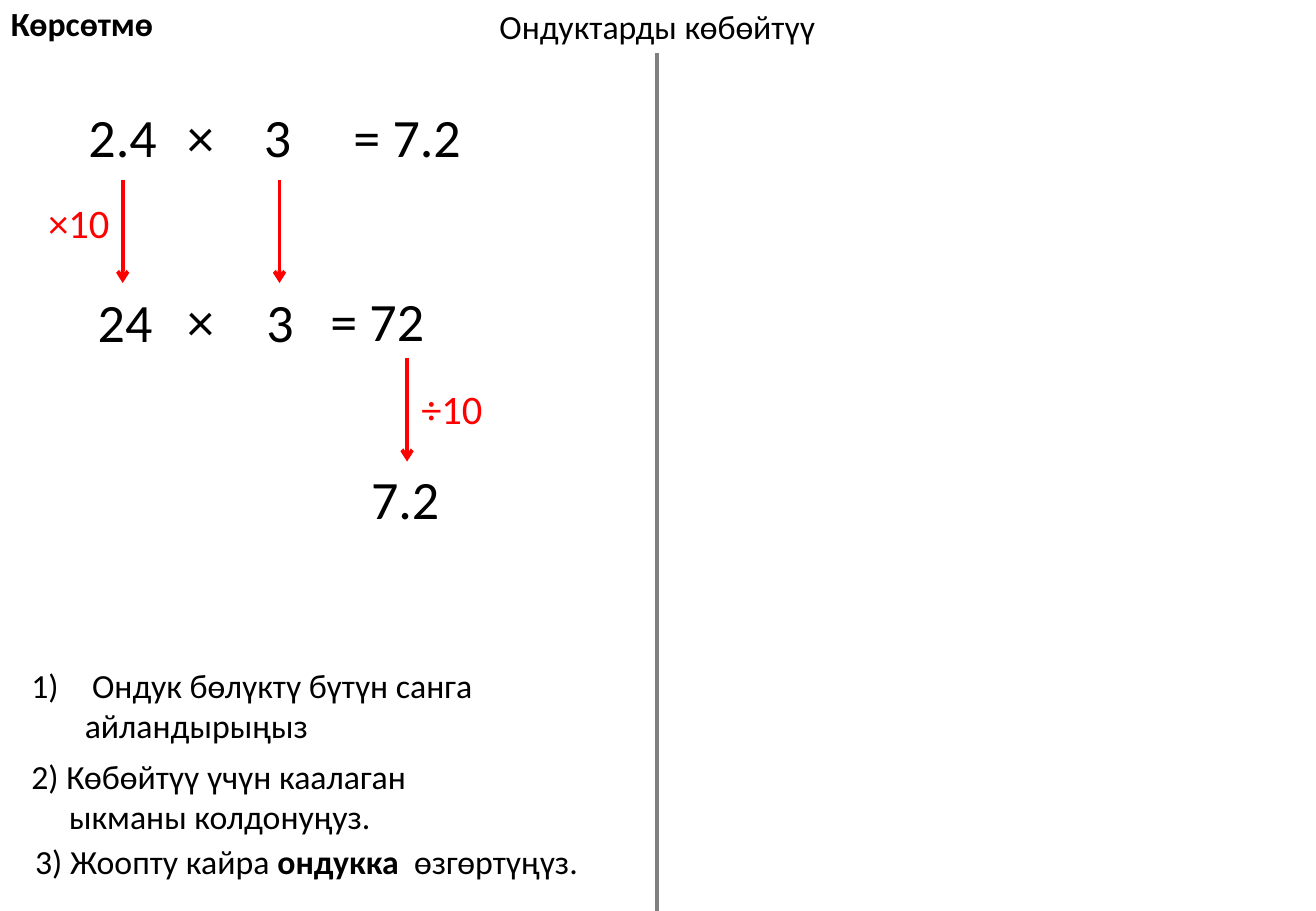
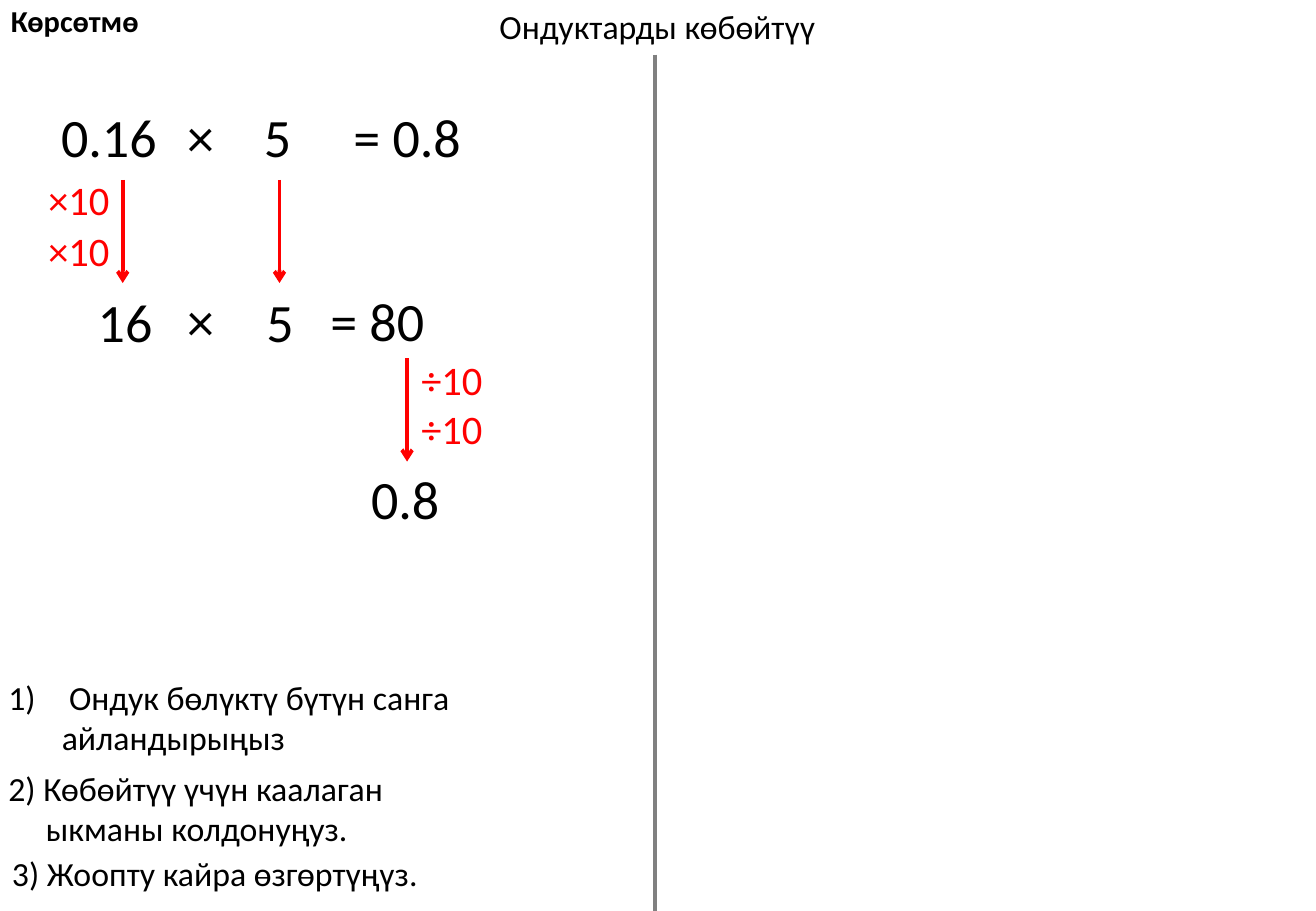
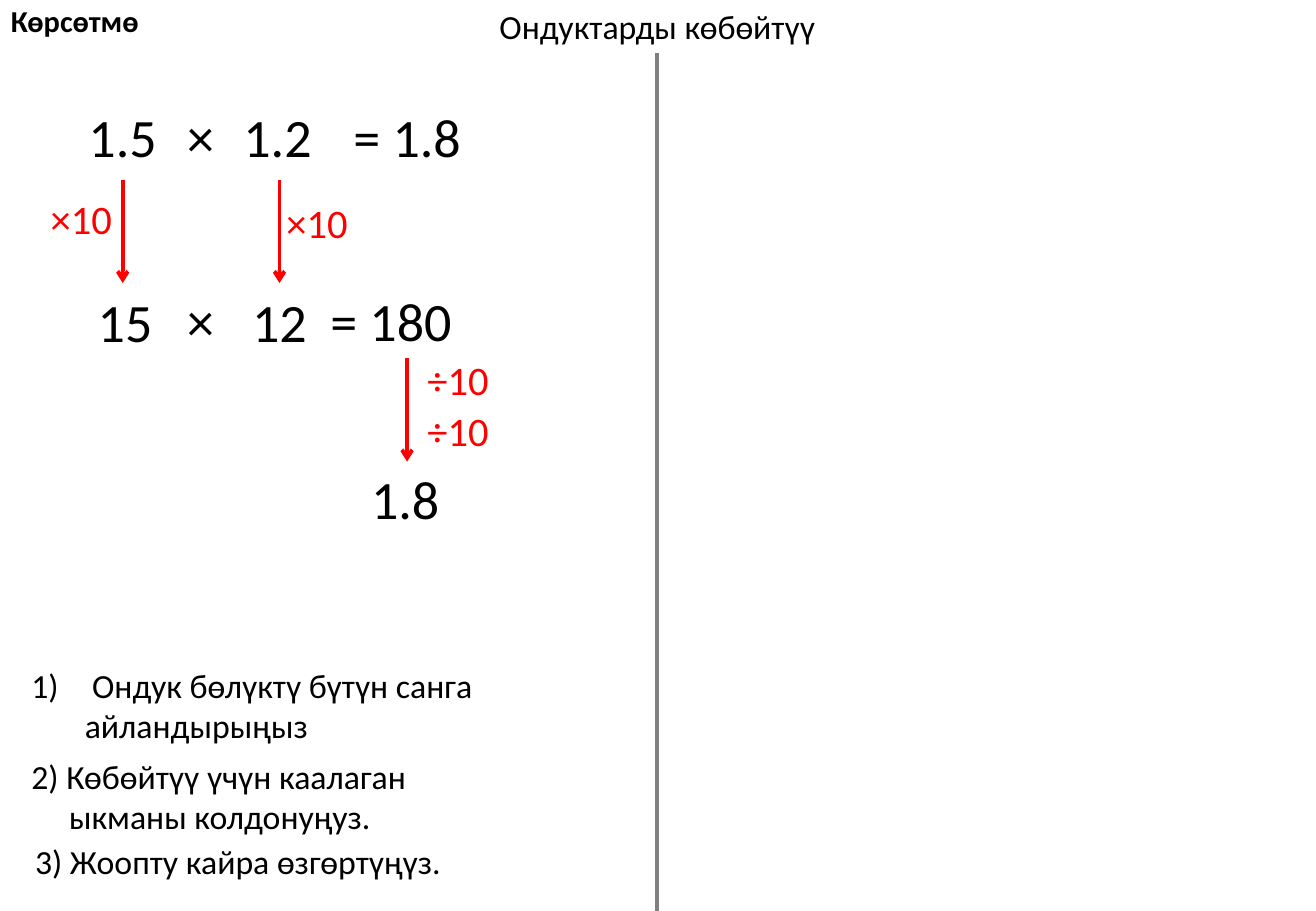
from dataclasses import dataclass

from lxml import etree
from pptx import Presentation
from pptx.dml.color import RGBColor
from pptx.enum.shapes import MSO_CONNECTOR
from pptx.enum.text import MSO_AUTO_SIZE, PP_ALIGN
from pptx.oxml.ns import qn
from pptx.util import Emu, Pt

STRAIGHT = MSO_CONNECTOR.STRAIGHT
FIT_SHAPE = MSO_AUTO_SIZE.SHAPE_TO_FIT_TEXT
LEFT, CENTER, RIGHT = PP_ALIGN.LEFT, PP_ALIGN.CENTER, PP_ALIGN.RIGHT

BLACK = RGBColor(0x00, 0x00, 0x00)
RED = RGBColor(0xFF, 0x00, 0x00)
GRAY = RGBColor(0x80, 0x80, 0x80)
FONT = "Calibri"
BODY_SIZE, LABEL_SIZE, NUMBER_SIZE = 20, 24, 32

PX_PER_INCH = 100
SLIDE_WIDTH, SLIDE_HEIGHT = 1083, 750
NUMBER_HEIGHT = 64
ARROW_LENGTH = 85


@dataclass
class Example:
    factors: tuple
    answer: str
    whole_factors: tuple
    whole_answer: str
    labels: tuple
    heading_size: int = 18
    divider: tuple = (541, 44)
    steps_origin: tuple = (16, 542)
    last_step: str = "3) Жоопту кайра өзгөртүңүз."
    last_width: int = 357


EXAMPLES = [
    Example(("2.4", "3"), "7.2", ("24", "3"), "72",
            (("×10", 0, 78), ("÷10", 307, 231)),
            heading_size=20,
            last_step="3) Жоопту кайра **ондукка  **өзгөртүңүз.",
            last_width=471),
    Example(("0.16", "5"), "0.8", ("16", "5"), "80",
            (("×10", 0, 59), ("×10", 0, 101),
             ("÷10", 307, 207), ("÷10", 307, 248)),
            divider=(539, 45), steps_origin=(-3, 552)),
    Example(("1.5", "1.2"), "1.8", ("15", "12"), "180",
            (("×10", 2, 75), ("×10", 196, 78),
             ("÷10", 312, 207), ("÷10", 312, 249))),
]


def px(value):
    return Emu(value * 914400 // PX_PER_INCH)


def add_text(slide, box, text, size=BODY_SIZE, color=BLACK, align=LEFT,
             bold=False, numbered=False, second_indent=0):
    shape = slide.shapes.add_textbox(*map(px, box))
    frame = shape.text_frame
    frame.word_wrap = False
    frame.auto_size = FIT_SHAPE
    for index, line in enumerate(text.split("\n")):
        paragraph = frame.paragraphs[0] if index == 0 else frame.add_paragraph()
        paragraph.alignment = align
        properties = paragraph._p.get_or_add_pPr()
        if index == 0 and numbered:
            properties.set("marL", str(px(50)))
            properties.set("indent", str(-px(50)))
            etree.SubElement(properties, qn("a:buAutoNum"), type="arabicParenR")
        elif index > 0 and second_indent:
            properties.set("marL", str(px(second_indent)))
            properties.set("indent", "0")
        for part, words in enumerate(line.split("**")):
            run = paragraph.add_run()
            run.text = words
            run.font.name = FONT
            run.font.size = Pt(size)
            run.font.bold = bold or part % 2 == 1
            run.font.color.rgb = color


def add_line(slide, x, top, bottom, color, arrow=False):
    line = slide.shapes.add_connector(STRAIGHT, px(x), px(top), px(x), px(bottom))
    line.line.color.rgb = color
    line.line.width = Pt(2.25)
    if arrow:
        outline = line.line._get_or_add_ln()
        etree.SubElement(outline, qn("a:tailEnd"), type="arrow")
    etree.SubElement(line._element.spPr, qn("a:effectLst"))


def add_number(slide, anchor, top, text, align=CENTER):
    narrow = sum(character in ". " for character in text)
    width = 20 + 23 * (len(text) - narrow) + 11 * narrow
    shift = {LEFT: 0, CENTER: width // 2, RIGHT: width}[align]
    add_text(slide, (anchor - shift, top, width, NUMBER_HEIGHT), text,
             size=NUMBER_SIZE, align=align)


def draw_frame(slide, example):
    add_text(slide, (400, 0, 282, 44), "Ондуктарды көбөйтүү", align=CENTER)
    width, height = (151, 44) if example.heading_size == 20 else (138, 40)
    add_text(slide, (-1, -3, width, height), "Көрсөтмө",
             size=example.heading_size, bold=True)
    x, top = example.divider
    add_line(slide, x, top, SLIDE_HEIGHT, GRAY)


def draw_working(slide, left, top, example):
    first, second = example.factors
    add_number(slide, left + 110, top, first, RIGHT)
    add_number(slide, left + 199, top, second)
    add_number(slide, left + 252, top, "= " + example.answer, LEFT)

    first_whole, second_whole = example.whole_factors
    add_number(slide, left + 74, top + 153, first_whole)
    add_number(slide, left + 201, top + 153, second_whole)
    add_number(slide, left + 233, top + 152, "= " + example.whole_answer, LEFT)
    add_number(slide, left + 304, top + 298, example.answer)

    for row in (0, 152):
        add_number(slide, left + 157, top + row, "×", RIGHT)
    for x, y in ((72, 68), (201, 68), (306, 215)):
        add_line(slide, left + x, top + y, top + y + ARROW_LENGTH, RED, arrow=True)
    for text, x, y in example.labels:
        add_text(slide, (left + x, top + y, 71, 50), text,
                 size=LABEL_SIZE, color=RED, align=RIGHT)


def draw_steps(slide, left, top, example):
    add_text(slide, (left, top, 393, 77),
             "Ондук бөлүктү бүтүн санга\nайландырыңыз",
             numbered=True, second_indent=44)
    add_text(slide, (left, top + 75, 338, 77),
             "2) Көбөйтүү үчүн каалаган\nыкманы колдонуңуз.", second_indent=31)
    add_text(slide, (left + 3, top + 145, example.last_width, 44),
             example.last_step)


def main():
    presentation = Presentation()
    presentation.slide_width = px(SLIDE_WIDTH)
    presentation.slide_height = px(SLIDE_HEIGHT)
    for example in EXAMPLES:
        slide = presentation.slides.add_slide(presentation.slide_layouts[6])
        draw_frame(slide, example)
        draw_working(slide, 29, 80, example)
        draw_steps(slide, *example.steps_origin, example)
    presentation.save("out.pptx")


if __name__ == "__main__":
    main()
